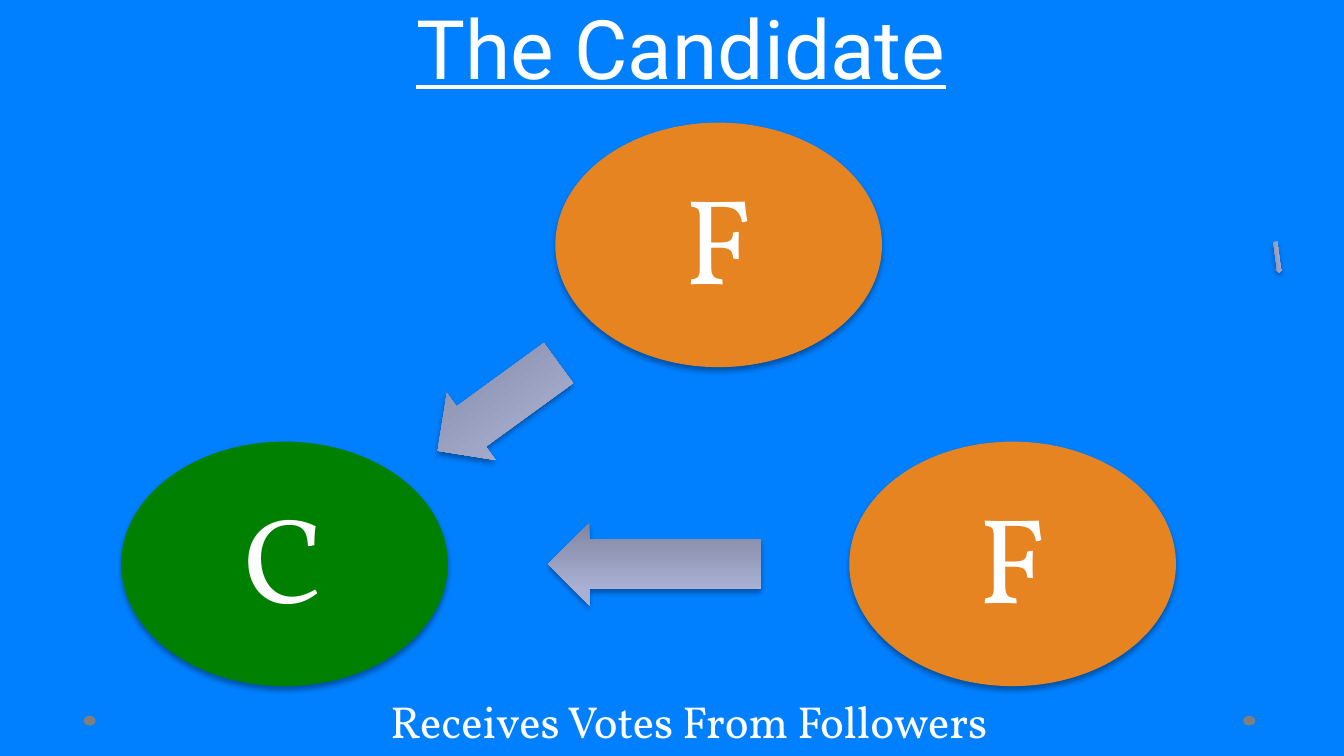
from lxml import etree
from pptx import Presentation
from pptx.dml.color import RGBColor
from pptx.enum.shapes import MSO_SHAPE
from pptx.enum.text import MSO_ANCHOR, PP_ALIGN
from pptx.oxml import parse_xml
from pptx.oxml.ns import qn
from pptx.util import Pt

OVAL, ARROW = MSO_SHAPE.OVAL, MSO_SHAPE.RIGHT_ARROW
TOP, MIDDLE, BOTTOM = MSO_ANCHOR.TOP, MSO_ANCHOR.MIDDLE, MSO_ANCHOR.BOTTOM
CENTER = PP_ALIGN.CENTER
color = RGBColor.from_string

NS = "http://schemas.openxmlformats.org/drawingml/2006/main"
SHADOW = (f'<a:outerShdw xmlns:a="{NS}" blurRad="{Pt(3.1)}" dist="{Pt(1.8)}" '
          'dir="5400000" rotWithShape="0"><a:srgbClr val="000000">'
          '<a:alpha val="35000"/></a:srgbClr></a:outerShdw>')


def add_shape(kind, left, top, width, height, shadow=True):
    shape = slide.shapes.add_shape(kind, Pt(left), Pt(top), Pt(width), Pt(height))
    shape.line.fill.background()
    shape.shadow.inherit = False
    if shadow:
        shape.element.spPr.find(qn("a:effectLst")).append(parse_xml(SHADOW))
    return shape


def write(shape, text, face, size, anchor, spacing, inset):
    frame = shape.text_frame
    frame.word_wrap = True
    frame.vertical_anchor = anchor
    frame.margin_left = frame.margin_right = Pt(inset[0])
    frame.margin_top = frame.margin_bottom = Pt(inset[1])
    frame.text = text
    line = frame.paragraphs[0]
    line.alignment = CENTER
    line.line_spacing = spacing
    font = line.runs[0].font
    font.name, font.size = face, Pt(size)
    font.color.rgb = color("FFFFFF")
    return font


deck = Presentation()
deck.slide_width, deck.slide_height = Pt(720), Pt(405)
slide = deck.slides.add_slide(deck.slide_layouts[6])
slide.background.fill.solid()
slide.background.fill.fore_color.rgb = color("0080FF")

# Corner dots
for left in (666, 44.8):
    dot = add_shape(OVAL, left, 383.5, 6.5, 5.2, shadow=False)
    dot.fill.solid()
    dot.fill.fore_color.rgb = color("7F7F7F")

# Title
title = slide.shapes.add_textbox(Pt(10), Pt(0), Pt(710), Pt(54.7))
write(title, "The Candidate", "Roboto", 44, BOTTOM, 1.32, (7.2, 3.6)).underline = True

# Followers and candidate
nodes = [
    ("F", 297.5, 65.7, "E68422"),
    ("F", 455, 236.6, "E68422"),
    ("C", 64.9, 236.6, "008000"),
]
for label, left, top, tint in nodes:
    node = add_shape(OVAL, left, top, 175, 131)
    node.fill.solid()
    node.fill.fore_color.rgb = color(tint)
    write(node, label, "Vollkorn", 65, MIDDLE, 0.9, (6.5, 6.5))

# Vote arrows: left, top, width, height, rotation
arrows = [
    (676, 136.1, 16.6, 3.6, 82.5),
    (293.6, 280, 114, 44.4, 180),
    (226.8, 195.8, 80, 44.4, 144),
]
stops = [(0, "8086A0"), (80, "A9B0D3"), (100, "A9B1D5")]
for left, top, width, height, turn in arrows:
    arrow = add_shape(ARROW, left, top, width, height)
    arrow.rotation = turn
    arrow.adjustments[0] = 0.6
    arrow.adjustments[1] = 0.5
    arrow.fill.gradient()
    arrow.fill.gradient_angle = 90
    ramp = arrow.element.spPr.find(qn("a:gradFill")).find(qn("a:gsLst"))
    for old in list(ramp):
        ramp.remove(old)
    for place, tint in stops:
        stop = etree.SubElement(ramp, qn("a:gs"), pos=str(place * 1000))
        etree.SubElement(stop, qn("a:srgbClr"), val=tint)

# Caption
note = slide.shapes.add_textbox(Pt(195), Pt(368), Pt(348), Pt(27.4))
write(note, "Receives Votes From Followers", "Vollkorn", 24, TOP, 1.0, (7.2, 3.6))

deck.save("out.pptx")
